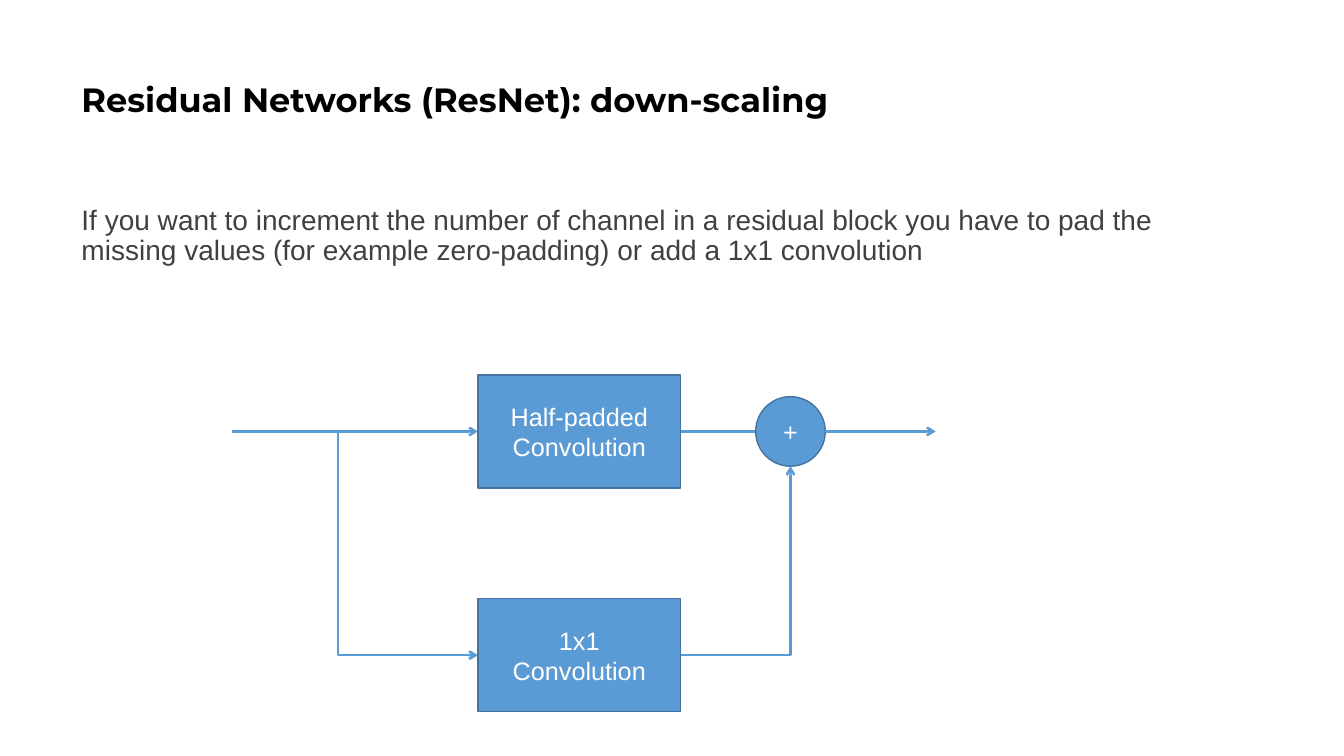
from lxml import etree
from pptx import Presentation
from pptx.dml.color import RGBColor
from pptx.enum import shapes, text
from pptx.oxml import ns
from pptx.util import Inches, Pt

BLUE = RGBColor(0x5B, 0x9B, 0xD5)
EDGE = RGBColor(0x43, 0x73, 0x9E)
BLACK = RGBColor(0, 0, 0)
GREY = RGBColor(0x40, 0x40, 0x40)
WHITE = RGBColor(0xFF, 0xFF, 0xFF)

BLOCK_LEFT, BLOCK_WIDTH, BLOCK_HEIGHT = 4.74, 2.01, 1.12
BLOCK_RIGHT = BLOCK_LEFT + BLOCK_WIDTH
MAIN_Y, SHORTCUT_Y = 4.28, 6.5
SUM_X, SUM_SIZE = 7.84, 0.69
BRANCH_X, BRANCH_Y = 3.35, 4.3


def style_runs(frame, font, size, color, bold=False):
    for paragraph in frame.paragraphs:
        for run in paragraph.runs:
            run.font.name = font
            run.font.size = Pt(size)
            run.font.color.rgb = color
            run.font.bold = bold


def add_text(slide, words, top, height, anchor, font, size, color, bold=False):
    frame = slide.shapes.add_textbox(
        Inches(0.71), Inches(top), Inches(11.5), Inches(height)).text_frame
    frame.word_wrap = True
    frame.vertical_anchor = anchor
    frame.text = words
    frame.paragraphs[0].line_spacing = 0.9
    style_runs(frame, font, size, color, bold)


def add_node(slide, preset, words, center_x, center_y, width, height):
    node = slide.shapes.add_shape(
        preset, Inches(center_x - width / 2), Inches(center_y - height / 2),
        Inches(width), Inches(height))
    node.shadow.inherit = False
    node.fill.solid()
    node.fill.fore_color.rgb = BLUE
    node.line.color.rgb = EDGE
    node.line.width = Pt(1)
    frame = node.text_frame
    frame.text = words
    frame.vertical_anchor = text.MSO_ANCHOR.MIDDLE
    for paragraph in frame.paragraphs:
        paragraph.alignment = text.PP_ALIGN.CENTER
    style_runs(frame, "Arial", 18, WHITE)


def add_block(slide, words, center_y):
    add_node(slide, shapes.MSO_SHAPE.RECTANGLE, words,
             BLOCK_LEFT + BLOCK_WIDTH / 2, center_y, BLOCK_WIDTH, BLOCK_HEIGHT)


def add_arrow(slide, start_x, start_y, end_x, end_y,
              kind=shapes.MSO_CONNECTOR.STRAIGHT):
    arrow = slide.shapes.add_connector(
        kind, Inches(start_x), Inches(start_y), Inches(end_x), Inches(end_y))
    arrow.line.color.rgb = BLUE
    arrow.line.width = Pt(1.75)
    tip = etree.SubElement(arrow.line._get_or_add_ln(), ns.qn("a:tailEnd"))
    tip.set("type", "arrow")
    etree.SubElement(arrow._element.spPr, ns.qn("a:effectLst"))
    return arrow


def add_corner_arrow(slide, start_x, start_y, end_x, end_y, down_first=False):
    if down_first:
        center_x, center_y = (start_x + end_x) / 2, (start_y + end_y) / 2
        half_width, half_height = (end_y - start_y) / 2, (end_x - start_x) / 2
        start_x, end_x = center_x - half_width, center_x + half_width
        start_y, end_y = center_y + half_height, center_y - half_height
    arrow = add_arrow(slide, start_x, start_y, end_x, end_y,
                      shapes.MSO_CONNECTOR.ELBOW)
    properties = arrow._element.spPr
    properties.find(ns.qn("a:prstGeom")).set("prst", "bentConnector2")
    if down_first:
        properties.find(ns.qn("a:xfrm")).set("rot", "5400000")


def main():
    deck = Presentation()
    deck.slide_width, deck.slide_height = Inches(13.33), Inches(7.5)
    slide = deck.slides.add_slide(deck.slide_layouts[6])

    add_text(slide, "Residual Networks (ResNet): down-scaling", 0.28, 1.45,
             text.MSO_ANCHOR.MIDDLE, "Montserrat", 24, BLACK, True)
    add_text(slide, "If you want to increment the number of channel in a residual "
             "block you have to pad the missing values (for example zero-padding) "
             "or add a 1x1 convolution", 2, 0.94,
             text.MSO_ANCHOR.TOP, "Arial", 20, GREY)

    add_arrow(slide, 2.3, MAIN_Y, BLOCK_LEFT, MAIN_Y)
    add_block(slide, "Half-padded\nConvolution", MAIN_Y)
    add_arrow(slide, BLOCK_RIGHT, MAIN_Y, 7.89, MAIN_Y)
    add_node(slide, shapes.MSO_SHAPE.OVAL, "+", SUM_X, MAIN_Y, SUM_SIZE, SUM_SIZE)
    add_arrow(slide, SUM_X + SUM_SIZE / 2, MAIN_Y, 9.28, MAIN_Y)

    add_block(slide, "1x1\nConvolution", SHORTCUT_Y)
    add_corner_arrow(slide, BRANCH_X, BRANCH_Y, BLOCK_LEFT, SHORTCUT_Y, True)
    add_corner_arrow(slide, BLOCK_RIGHT, SHORTCUT_Y, SUM_X, MAIN_Y + SUM_SIZE / 2)

    deck.save("out.pptx")


if __name__ == "__main__":
    main()
